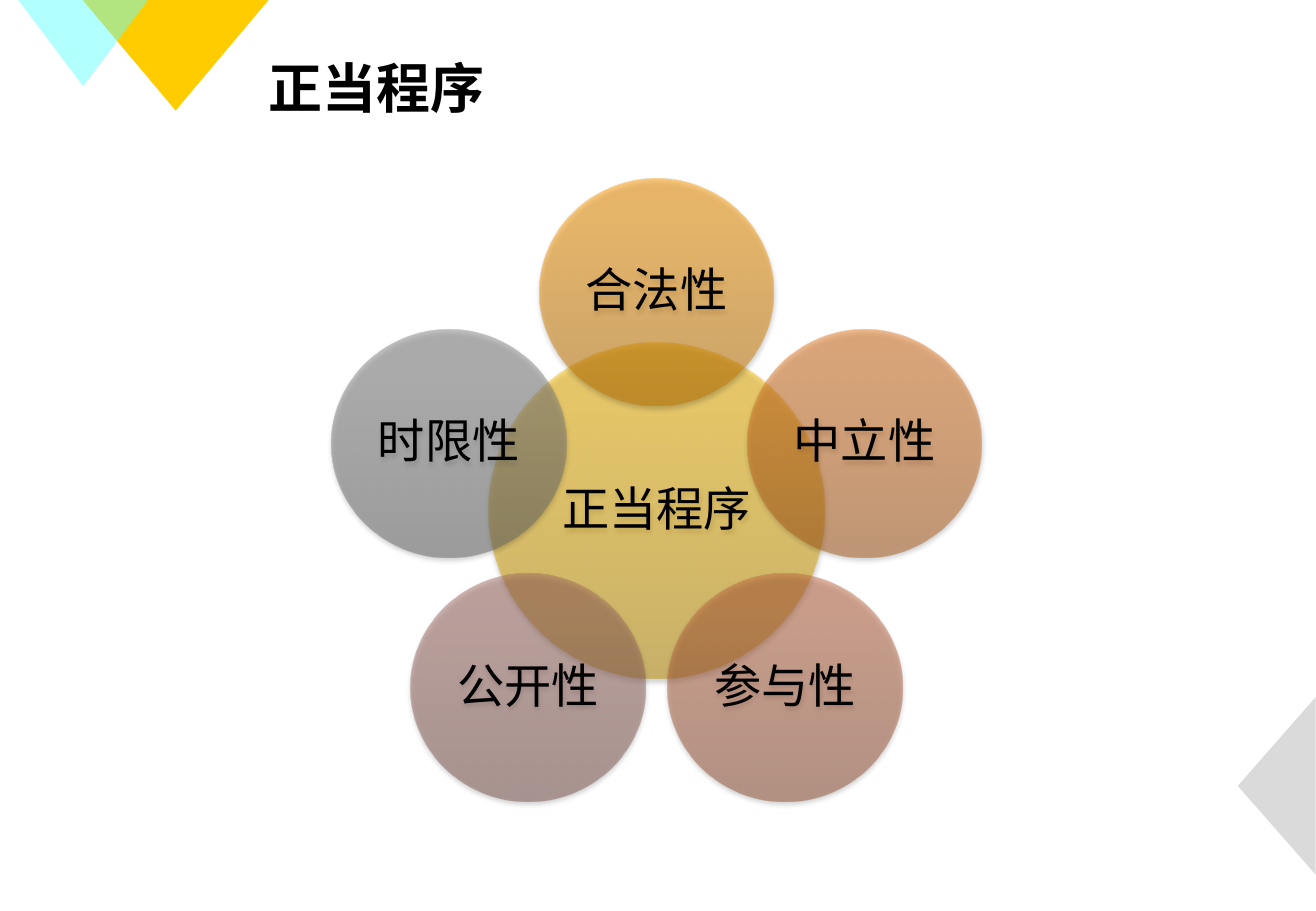
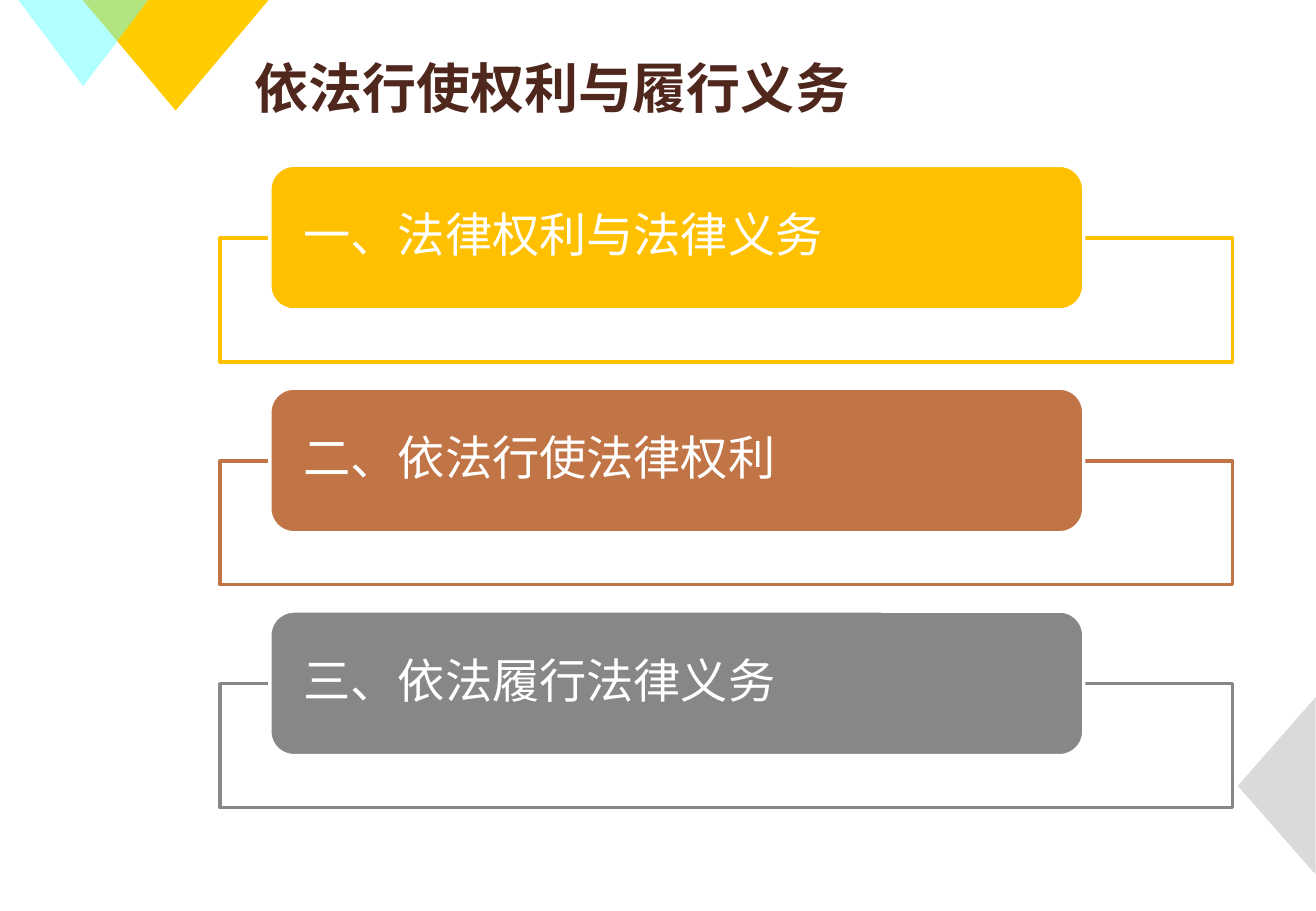
from math import cos, radians, sin

from lxml import etree
from pptx import Presentation
from pptx.dml.color import RGBColor
from pptx.enum import shapes, text
from pptx.oxml import parse_xml
from pptx.oxml.ns import nsdecls, qn
from pptx.util import Pt

BLACK = RGBColor(0x00, 0x00, 0x00)
WHITE = RGBColor(0xFF, 0xFF, 0xFF)
BROWN = RGBColor(0x4F, 0x27, 0x1C)
YELLOW = RGBColor(0xFF, 0xCC, 0x00)
CYAN = RGBColor(0x66, 0xFF, 0xFF)
SILVER = RGBColor(0xB7, 0xB7, 0xB7)
GOLD = RGBColor(0xFF, 0xC0, 0x00)
COPPER = RGBColor(0xC1, 0x74, 0x45)
GREY = RGBColor(0x87, 0x87, 0x87)

# Disc shades from bottom to top
STOPS = (0, 80, 100)
HUB = [RGBColor.from_string(c) for c in ("BE8F00", "F7BA00", "F8BB00")]
PETALS = [
    (label, [RGBColor.from_string(c) for c in shades])
    for label, shades in (
        ("合法性", ("C17400", "FA9700", "FB9700")),
        ("中立性", ("AA5A19", "DD7520", "E1761D")),
        ("参与性", ("925033", "BE6742", "C16740")),
        ("公开性", ("7B534C", "A06C63", "A26C62")),
        ("时限性", ("656565", "838383", "838383")),
    )
]
TOPICS = [
    ("一、法律权利与法律义务", GOLD),
    ("二、依法行使法律权利", COPPER),
    ("三、依法履行法律义务", GREY),
]

SANS = "Noto Sans CJK SC"
LATIN = "Calibri"
KIND = shapes.MSO_SHAPE
ALIGN = text.PP_ALIGN
TITLE = {"name": SANS, "size": Pt(32), "bold": True}
DISC = {"name": LATIN, "size": Pt(28)}
BAR = {"name": SANS, "size": Pt(28)}


def add_shape(slide, kind, box, fill=None, alpha=100, line=None, turn=0):
    shape = slide.shapes.add_shape(kind, *map(Pt, box))
    shape.shadow.inherit = False
    shape.rotation = turn
    if fill is None:
        shape.fill.background()
    else:
        shape.fill.solid()
        shape.fill.fore_color.rgb = fill
    if alpha < 100:
        tint = shape._element.spPr.find(qn("a:solidFill"))[0]
        etree.SubElement(tint, qn("a:alpha")).set("val", str(alpha * 1000))
    if line is None:
        shape.line.fill.background()
    else:
        shape.line.color.rgb = line
        shape.line.width = Pt(2)
    return shape


def put_text(shape, words, style, color, align, pad, space=1.0):
    frame = shape.text_frame
    layout = {"word_wrap": True, "vertical_anchor": text.MSO_ANCHOR.MIDDLE}
    sides = ("margin_left", "margin_top", "margin_right", "margin_bottom")
    layout.update(zip(sides, map(Pt, pad)))
    for key, value in layout.items():
        setattr(frame, key, value)
    para = frame.paragraphs[0]
    para.alignment = align
    para.line_spacing = space
    run = para.add_run()
    run.text = words
    for key, value in style.items():
        setattr(run.font, key, value)
    run.font.color.rgb = color
    # East Asian typeface follows the Latin one
    latin = run._r.rPr.find(qn("a:latin"))
    latin.addnext(parse_xml(f'<a:ea {nsdecls("a")} typeface="{SANS}"/>'))


def add_base(deck, title, color, left, align):
    """Start a slide with the corner triangles and its title."""
    slide = deck.slides.add_slide(deck.slide_layouts[6])
    for box, fill, alpha, turn in (
        ((49, 0, 110.2, 65.5), YELLOW, 100, 180),
        ((10.8, 0, 77, 51.1), CYAN, 50, 180),
        ((704.2, 442.8, 105.1, 46.1), SILVER, 50, 270),
    ):
        add_shape(slide, KIND.ISOSCELES_TRIANGLE, box, fill, alpha, turn=turn)
    head = slide.shapes.add_textbox(Pt(left), Pt(26), Pt(561), Pt(51))
    put_text(head, title, TITLE, color, align, (7.2, 3.6, 7.2, 3.6))
    return slide


def add_disc(slide, mid, size, label, shades):
    """Draw a half-clear shaded ellipse centred on mid."""
    box = [m - s / 2 for m, s in zip(mid, size)] + list(size)
    disc = add_shape(slide, KIND.OVAL, box)
    props = disc._element.spPr
    stops = "".join(
        f'<a:gs pos="{pos * 1000}"><a:srgbClr val="{shade}">'
        '<a:alpha val="50000"/></a:srgbClr></a:gs>'
        for pos, shade in zip(STOPS, shades)
    )
    props.replace(props.find(qn("a:noFill")), parse_xml(
        f'<a:gradFill {nsdecls("a")} rotWithShape="1"><a:gsLst>{stops}</a:gsLst>'
        '<a:lin ang="16200000" scaled="0"/></a:gradFill>'))
    props.find(qn("a:effectLst")).append(parse_xml(
        f'<a:outerShdw {nsdecls("a")} blurRad="{Pt(3.1)}" dist="{Pt(1.8)}" '
        'dir="5400000" rotWithShape="0"><a:srgbClr val="000000">'
        '<a:alpha val="35000"/></a:srgbClr></a:outerShdw>'))
    put_text(disc, label, DISC, BLACK, ALIGN.CENTER, [2.9] * 4, 0.9)


def add_flower(slide):
    """Set the petals evenly on a ring around the hub."""
    x, y, ring = 389.2, 302.8, 129.6
    add_disc(slide, (x, y), (199.4, 199.4), "正当程序", HUB)
    for i, (label, shades) in enumerate(PETALS):
        turn = radians(i * 360 / len(PETALS))
        mid = (x + ring * sin(turn), y - ring * cos(turn))
        add_disc(slide, mid, (139, 134.8), label, shades)


def add_topics(slide):
    """Stack the framed bars at an equal step."""
    for i, (label, color) in enumerate(TOPICS):
        top = 98 + i * 132.1
        add_shape(slide, KIND.RECTANGLE, (130.3, top + 43.1, 600.3, 73.4),
                  WHITE, 90, color)
        bar = add_shape(slide, KIND.ROUNDED_RECTANGLE,
                        (160, top, 482.4, 85.7), color, line=WHITE)
        put_text(bar, label, BAR, WHITE, ALIGN.LEFT, (15.8, 0, 15.8, 0), 0.9)


def main():
    deck = Presentation()
    deck.slide_width, deck.slide_height = Pt(780), Pt(540)
    add_flower(add_base(deck, "正当程序", BLACK, 152, ALIGN.JUSTIFY))
    add_topics(add_base(deck, "依法行使权利与履行义务", BROWN, 144, ALIGN.LEFT))
    deck.save("out.pptx")


if __name__ == "__main__":
    main()
